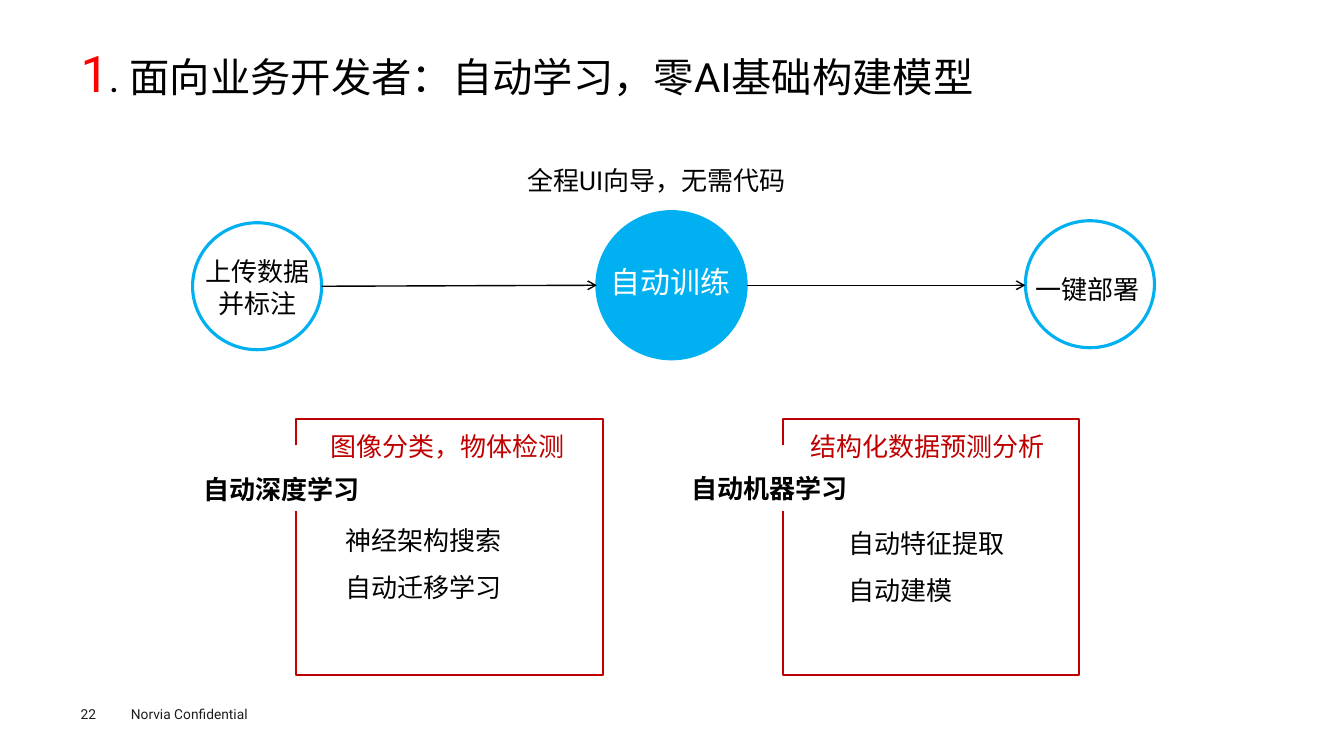
import lxml.etree
import pptx
import pptx.dml.color
import pptx.enum.shapes
import pptx.enum.text
import pptx.oxml.ns
import pptx.util

RGBColor = pptx.dml.color.RGBColor
BLACK = RGBColor(0, 0, 0)
WHITE = RGBColor(255, 255, 255)
RED = RGBColor(255, 0, 0)
DARK_RED = RGBColor(0xC0, 0, 0)
BLUE = RGBColor(0, 0xB0, 0xF0)
CHARCOAL = RGBColor(0x1D, 0x1D, 0x1B)
EMU_PER_PX = 9144


class Page:
    """Draws styled elements on one slide, measured in px at 100 to the inch."""

    font = "Roboto"
    body = 18.6

    def __init__(self, deck):
        self.shapes = deck.slides.add_slide(deck.slide_layouts[6]).shapes

    def px(self, *lengths):
        return [pptx.util.Emu(length * EMU_PER_PX) for length in lengths]

    def style(self, span, size, color, bold=False):
        span.font.name = self.font
        span.font.size = pptx.util.Pt(size)
        span.font.color.rgb = color
        span.font.bold = bold

    def text(self, at, words, size=body, color=BLACK, bold=False, insets=(10, 5),
             spacing=None, align=pptx.enum.text.PP_ALIGN.LEFT):
        frame = self.shapes.add_textbox(*self.px(*at)).text_frame
        frame.word_wrap = True
        frame.margin_left = frame.margin_right = self.px(insets[0])[0]
        frame.margin_top = frame.margin_bottom = self.px(insets[1])[0]
        frame.text = words
        for para in frame.paragraphs:
            para.alignment = align
            para.line_spacing = spacing
            for span in para.runs:
                self.style(span, size, color, bold)
        return frame

    def title(self, at, number, words):
        frame = self.text(at, number, 36, RED, insets=(0, 0), spacing=0.9)
        frame.vertical_anchor = pptx.enum.text.MSO_ANCHOR.MIDDLE
        span = frame.paragraphs[0].add_run()
        span.text = words
        self.style(span, 28.8, BLACK)

    def circle(self, at, filled=False):
        oval = pptx.enum.shapes.MSO_SHAPE.OVAL
        shape = self.shapes.add_shape(oval, *self.px(*at))
        shape.shadow.inherit = False
        if filled:
            shape.fill.solid()
            shape.fill.fore_color.rgb = BLUE
        else:
            shape.fill.background()
        shape.line.color.rgb = BLUE
        shape.line.width = pptx.util.Pt(2.25)

    def arrow(self, start, end):
        straight = pptx.enum.shapes.MSO_CONNECTOR.STRAIGHT
        connector = self.shapes.add_connector(straight, *self.px(*start, *end))
        connector.line.color.rgb = BLACK
        connector.line.width = pptx.util.Pt(1)
        qn = pptx.oxml.ns.qn
        lxml.etree.SubElement(connector.line._get_or_add_ln(), qn("a:tailEnd"), type="arrow")
        lxml.etree.SubElement(connector._element.spPr, qn("a:effectLst"))

    def open_frame(self, left, right, top=416, bottom=670, gap=(442, 507)):
        builder = self.shapes.build_freeform(left, gap[0], scale=EMU_PER_PX)
        corners = [(left, top), (right, top), (right, bottom), (left, bottom), (left, gap[1])]
        builder.add_line_segments(corners, close=False)
        shape = builder.convert_to_shape()
        shape.shadow.inherit = False
        shape.fill.background()
        shape.line.color.rgb = DARK_RED
        shape.line.width = pptx.util.Pt(1.5)


def main():
    deck = pptx.Presentation()
    deck.slide_width = pptx.util.Inches(13.33)
    deck.slide_height = pptx.util.Inches(7.5)
    page = Page(deck)

    page.text((120, 695, 160, 27), "Norvia Confidential", 9.8, CHARCOAL)
    page.text((80, 700, 55, 16), "22", 9.8, CHARCOAL, insets=(0, 0))
    page.title((80, 49, 1173, 54), "1", ". 面向业务开发者：自动学习，零AI基础构建模型")

    page.circle((592, 210, 148, 146), filled=True)
    page.circle((191, 221, 128, 126))
    page.circle((1017, 219, 128, 126))
    page.arrow((319, 284), (592, 283))
    page.arrow((741, 283), (1017, 283))
    page.text((513, 158, 306, 42), "全程UI向导，无需代码")
    page.text((181, 249, 148, 73), "上传数据并标注", align=pptx.enum.text.PP_ALIGN.CENTER)
    page.text((596, 257, 169, 46), "自动训练", 21.4, WHITE)
    page.text((1017, 266, 157, 42), "一键部署")

    methods = [
        (294, 598, (200, 468, 166, 35), "自动深度学习", (318, 422, 276, 42),
         "图像分类，物体检测", (333, 500, 241, 152), "神经架构搜索\n自动迁移学习"),
        (777, 1070, (684, 467, 162, 35), "自动机器学习", (794, 422, 276, 42),
         "结构化数据预测分析", (832, 503, 184, 99), "自动特征提取自动建模"),
    ]
    for left, right, name_at, name, use_at, use, steps_at, steps in methods:
        page.open_frame(left, right)
        page.text(name_at, name, bold=True, insets=(2, 2))
        page.text(use_at, use, color=DARK_RED)
        page.text(steps_at, steps, spacing=1.5)

    deck.save("out.pptx")


if __name__ == "__main__":
    main()
